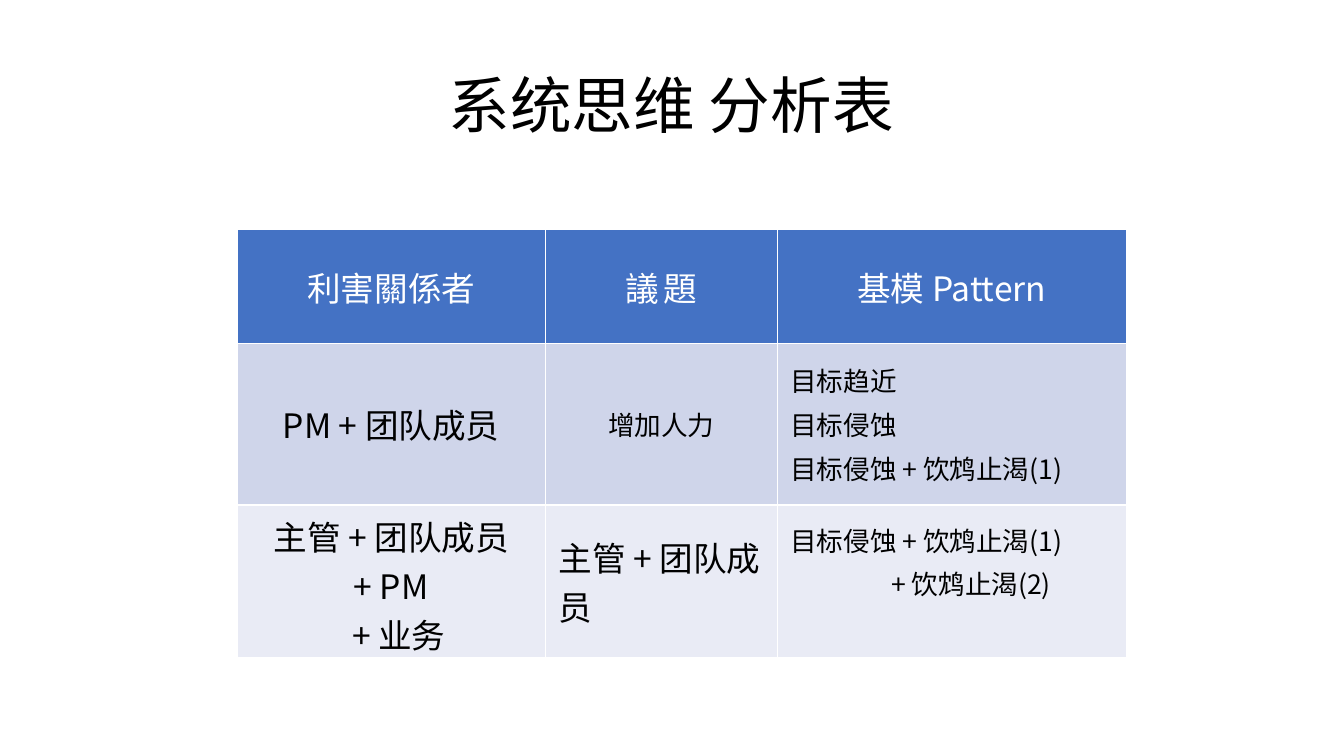
import pptx
import pptx.util
import pptx.oxml
import pptx.oxml.ns
import pptx.dml.color
import pptx.enum.text

Inches = pptx.util.Inches
Pt = pptx.util.Pt
Align = pptx.enum.text.PP_ALIGN
Anchor = pptx.enum.text.MSO_ANCHOR

THEME = {
    "font": "Noto Sans CJK SC",
    "ink": "000000", "white": "FFFFFF",
    "head": "4472C4", "bands": ["CFD5EA", "E9EBF5"],
    "title": 44, "large": 24, "small": 19,
}

TITLE = "系统思维 分析表"
HEADS = [
    {"lines": ["利害關係者"]},
    {"lines": ["議題"], "track": 3},
    {"lines": ["基模 Pattern"]},
]
BODY = [
    [
        {"lines": ["PM + 团队成员"]},
        {"lines": ["增加人力"], "size": "small"},
        {"lines": ["目标趋近", "目标侵蚀", "目标侵蚀 + 饮鸩止渴(1)"],
         "size": "small", "align": Align.LEFT, "gap": 4},
    ],
    [
        {"lines": ["主管 + 团队成员", "+ PM", "+ 业务"], "shift": 0.15},
        {"lines": ["主管 + 团队成员"], "align": Align.LEFT},
        {"lines": ["目标侵蚀 + 饮鸩止渴(1)", "+ 饮鸩止渴(2)"], "size": "small",
         "align": Align.LEFT, "gap": 3, "shift": 1.0,
         "anchor": Anchor.TOP, "top": 0.16},
    ],
]
TITLE_BOX = (2.35, 0.5, 8.62, 1.15)
TABLE_AT = (2.35, 2.28)
COLS = [3.06, 2.3, 3.46]
ROWS = [1.13, 1.6, 1.51]


def apply(item, values):
    for key, value in values.items():
        setattr(item, key, value)


def paint(fill, color):
    fill.solid()
    fill.fore_color.rgb = pptx.dml.color.RGBColor.from_string(color)


def write(para, text, size, color, track=0):
    run = para.add_run()
    run.text = text
    apply(run.font, {"name": THEME["font"], "size": Pt(size), "bold": False})
    paint(run.font.fill, color)
    props = run._r.get_or_add_rPr()
    east = pptx.oxml.parse_xml(
        f'<a:ea {pptx.oxml.ns.nsdecls("a")} typeface="{THEME["font"]}"/>')
    props.append(east)
    if track:
        props.set("spc", str(track * 100))


def edge(cell):
    props = cell._tc.get_or_add_tcPr()
    for index, side in enumerate("LRTB"):
        line = pptx.oxml.parse_xml(
            f'<a:ln{side} {pptx.oxml.ns.nsdecls("a")} w="{Pt(1)}"><a:solidFill>'
            f'<a:srgbClr val="{THEME["white"]}"/></a:solidFill></a:ln{side}>')
        props.insert(index, line)


def fill_cell(cell, data, back, color):
    apply(cell, {
        "vertical_anchor": data.get("anchor", Anchor.MIDDLE),
        "margin_left": Inches(0.13), "margin_right": Inches(0.13),
        "margin_top": Inches(data.get("top", 0.07)),
        "margin_bottom": Inches(0.07),
    })
    paint(cell.fill, back)
    edge(cell)
    frame = cell.text_frame
    last = len(data["lines"]) - 1
    for index, text in enumerate(data["lines"]):
        para = frame.add_paragraph() if index else frame.paragraphs[0]
        para.alignment = data.get("align", Align.CENTER)
        if index and "gap" in data:
            para.space_before = Pt(data["gap"])
        if index == last and "shift" in data:
            para._p.get_or_add_pPr().set("marL", str(Inches(data["shift"])))
        write(para, text, THEME[data.get("size", "large")], color,
              data.get("track", 0))


def main():
    deck = pptx.Presentation()
    apply(deck, {"slide_width": Inches(13.33), "slide_height": Inches(7.5)})
    slide = deck.slides.add_slide(deck.slide_layouts[6])

    frame = slide.shapes.add_textbox(*map(Inches, TITLE_BOX)).text_frame
    apply(frame, {"word_wrap": True, "vertical_anchor": Anchor.MIDDLE})
    para = frame.paragraphs[0]
    apply(para, {"alignment": Align.CENTER, "line_spacing": 0.9})
    write(para, TITLE, THEME["title"], THEME["ink"])

    place = (*TABLE_AT, sum(COLS), sum(ROWS))
    table = slide.shapes.add_table(
        len(ROWS), len(COLS), *map(Inches, place)).table
    for col, width in zip(table.columns, COLS):
        col.width = Inches(width)
    for row, height in zip(table.rows, ROWS):
        row.height = Inches(height)
    backs = [THEME["head"], *THEME["bands"]]
    for r, (cells, back) in enumerate(zip([HEADS, *BODY], backs)):
        color = THEME["ink"] if r else THEME["white"]
        for c, data in enumerate(cells):
            fill_cell(table.cell(r, c), data, back, color)

    deck.save("out.pptx")


if __name__ == "__main__":
    main()
